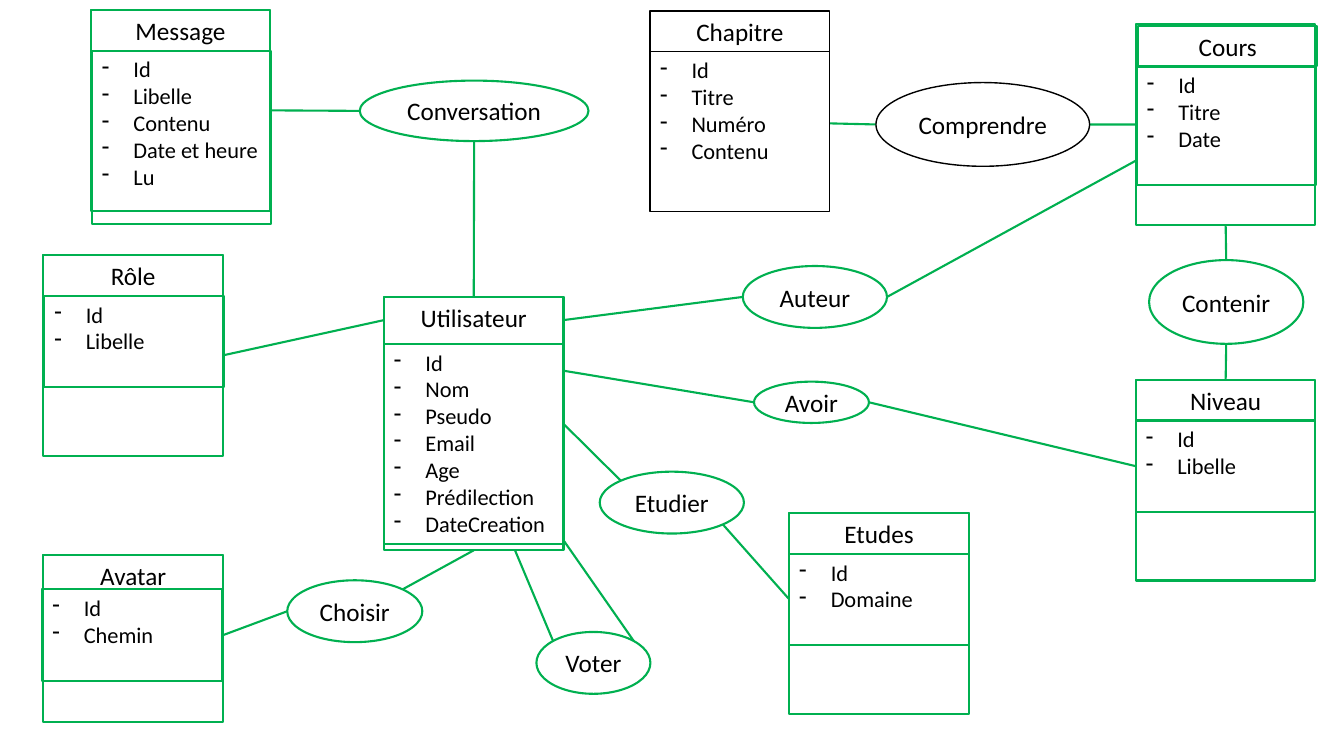
"""Draw the entity and relation diagram of a learning site."""
from dataclasses import dataclass
from typing import Any, NamedTuple

from lxml import etree
from pptx import Presentation
from pptx.dml.color import RGBColor
from pptx.enum.shapes import MSO_CONNECTOR, MSO_SHAPE
from pptx.enum.text import MSO_ANCHOR, PP_ALIGN
from pptx.oxml.ns import qn
from pptx.util import Pt

RECT, OVAL = MSO_SHAPE.RECTANGLE, MSO_SHAPE.OVAL
LINE = MSO_CONNECTOR.STRAIGHT
TOP, MIDDLE = MSO_ANCHOR.TOP, MSO_ANCHOR.MIDDLE
LEFT, CENTER = PP_ALIGN.LEFT, PP_ALIGN.CENTER


@dataclass(frozen=True)
class Theme:
    """Colours, type sizes and text measures."""
    green: RGBColor = RGBColor(0x00, 0xB0, 0x50)
    black: RGBColor = RGBColor(0x00, 0x00, 0x00)
    white: RGBColor = RGBColor(0xFF, 0xFF, 0xFF)
    font: str = "Calibri"
    title: float = 18
    item: float = 16
    row: float = 19.4
    pad: float = 7.2
    indent: float = 22.5


THEME = Theme()


class Pen(NamedTuple):
    """Colour and width of a line."""
    color: RGBColor
    width: float


GREEN, BLACK = Pen(THEME.green, 1.5), Pen(THEME.black, 1)
THIN = Pen(THEME.black, 0.5)


class Frame(NamedTuple):
    """Place and size in points."""
    x: float
    y: float
    w: float
    h: float

    def spot(self, fx: float, fy: float) -> tuple[float, float]:
        """Return the point at the given shares of width and height."""
        return self.x + fx * self.w, self.y + fy * self.h


@dataclass(frozen=True)
class Entity:
    """Table box with a title and a list of fields."""
    name: str
    x: float
    y: float
    items: tuple[str, ...]
    h: float = 143.3
    head: float = 29
    spare: int = 1
    nudge: float = 0
    shift: float = 0
    plain: bool = False

    @property
    def frame(self) -> Frame:
        """Return the outer frame."""
        return Frame(self.x, self.y, 128.2, self.h)


class Bond(NamedTuple):
    """Oval that names a relation."""
    name: str
    frame: Frame
    pen: Pen = GREEN


class Link(NamedTuple):
    """Line between spots on two named frames."""
    start: str
    a: tuple[float, float]
    end: str
    b: tuple[float, float]


WEST, EAST, NORTH, SOUTH = (0, 0.5), (1, 0.5), (0.5, 0), (0.5, 1)
NW, NE, SE = (0.146, 0.146), (0.854, 0.146), (0.854, 0.854)

ENTITIES = (
    Entity("Message", 64.8, 7.2,
           ("Id", "Libelle", "Contenu", "Date et heure", "Lu"), nudge=0.9),
    Entity("Utilisateur", 274.3, 212.4,
           ("Id", "Nom", "Pseudo", "Email", "Age", "Prédilection",
            "DateCreation"), h=180.7, head=33.1, spare=0),
    Entity("Etudes", 563.8, 366.5, ("Id", "Domaine")),
    Entity("Avatar", 31, 396.7, ("Id", "Chemin"),
           h=118.8, head=24.1, nudge=-0.7),
    Entity("Cours", 811.4, 17.3, ("Id", "Titre", "Date"),
           head=30.2, nudge=0.7, shift=1.4),
    Entity("Niveau", 811.4, 271.4, ("Id", "Libelle")),
    Entity("Chapitre", 464.4, 7.9, ("Id", "Titre", "Numéro", "Contenu"),
           plain=True),
    Entity("Rôle", 31, 182.2, ("Id", "Libelle"), nudge=0.7),
)
BONDS = (
    Bond("Conversation", Frame(257, 57.6, 163.4, 43.2)),
    Bond("Comprendre", Frame(625.7, 59, 152.6, 59.8), BLACK),
    Bond("Contenir", Frame(820.8, 185.8, 110.2, 59.8)),
    Bond("Auteur", Frame(530.6, 190, 103, 44.2)),
    Bond("Avoir", Frame(538.6, 272.6, 82.1, 29.5)),
    Bond("Etudier", Frame(428.4, 336.9, 103, 44.2)),
    Bond("Choisir", Frame(205.2, 414.5, 96.5, 44.2)),
    Bond("Voter", Frame(383.2, 451.4, 81.4, 44.2)),
)
LINKS = (
    Link("Message", EAST, "Conversation", WEST),
    Link("Conversation", SOUTH, "Utilisateur", NORTH),
    Link("Rôle", EAST, "Utilisateur", (0, 0.09)),
    Link("Utilisateur", (1, 0.09), "Auteur", WEST),
    Link("Auteur", EAST, "Cours", (0, 0.68)),
    Link("Utilisateur", (1, 0.29), "Avoir", WEST),
    Link("Avoir", EAST, "Niveau", (0, 0.43)),
    Link("Utilisateur", EAST, "Etudier", NW),
    Link("Etudier", SE, "Etudes", (0, 0.43)),
    Link("Utilisateur", SOUTH, "Choisir", NE),
    Link("Choisir", WEST, "Avatar", (1, 0.48)),
    Link("Utilisateur", (0.73, 1), "Voter", NW),
    Link("Utilisateur", (1, 0.96), "Voter", NE),
    Link("Chapitre", (1, 0.56), "Comprendre", WEST),
    Link("Comprendre", EAST, "Cours", WEST),
    Link("Cours", SOUTH, "Contenir", NORTH),
    Link("Contenir", SOUTH, "Niveau", NORTH),
)


def format_all(target: Any, values: dict[str, Any]) -> None:
    """Set each named attribute of the target."""
    for key, value in values.items():
        setattr(target, key, value)


def stroke(line: Any, pen: Pen) -> None:
    """Give a line its colour and width."""
    line.color.rgb = pen.color
    line.width = Pt(pen.width)


def add_box(slide: Any, kind: Any, frame: Frame, pen: Pen | None,
            filled: bool = False) -> Any:
    """Add a preset shape without shadow."""
    shape = slide.shapes.add_shape(kind, *map(Pt, frame))
    shape.shadow.inherit = False
    if filled:
        shape.fill.solid()
        shape.fill.fore_color.rgb = THEME.white
    else:
        shape.fill.background()
    if pen:
        stroke(shape.line, pen)
    else:
        shape.line.fill.background()
    return shape


def add_line(slide: Any, a: tuple[float, float], b: tuple[float, float],
             pen: Pen) -> None:
    """Add a straight connector without shadow."""
    line = slide.shapes.add_connector(LINE, *map(Pt, (*a, *b)))
    stroke(line.line, pen)
    etree.SubElement(line._element.spPr, qn("a:effectLst"))


def write(shape: Any, lines: tuple[str, ...], size: float, anchor: Any,
          dashed: bool = False) -> None:
    """Fill a shape with centred lines or a dashed list."""
    body = shape.text_frame
    format_all(body, {"text": "\n".join(lines), "word_wrap": dashed,
                      "vertical_anchor": anchor})
    for para in body.paragraphs:
        para.alignment = LEFT if dashed else CENTER
        format_all(para.runs[0].font, {"name": THEME.font, "size": Pt(size)})
        para.runs[0].font.color.rgb = THEME.black
        if dashed:
            props = para._p.get_or_add_pPr()
            props.set("marL", str(Pt(THEME.indent)))
            props.set("indent", str(-Pt(THEME.indent)))
            etree.SubElement(props, qn("a:buChar"), char="-")


def add_entity(slide: Any, item: Entity) -> None:
    """Draw a box, its title, its rule and its field list."""
    x, y, w, _ = item.frame
    pen = None if item.plain else GREEN
    add_box(slide, RECT, item.frame, BLACK if item.plain else GREEN, True)
    top = Frame(x + item.shift, y + item.shift, w, item.head - item.shift)
    write(add_box(slide, RECT, top, pen), (item.name,), THEME.title, TOP)
    base = y + item.head
    add_line(slide, (x, base), (x + w, base), THIN if item.plain else GREEN)
    tall = THEME.pad + THEME.row * (len(item.items) + item.spare)
    rows = add_box(slide, RECT, Frame(x + item.nudge, base, w, tall), pen)
    write(rows, item.items, THEME.item, TOP, True)


def main() -> None:
    """Build and save the slide."""
    deck = Presentation()
    format_all(deck, {"slide_width": Pt(960), "slide_height": Pt(540)})
    slide = deck.slides.add_slide(deck.slide_layouts[6])
    frames = {node.name: node.frame for node in (*ENTITIES, *BONDS)}
    for link in LINKS:
        add_line(slide, frames[link.start].spot(*link.a),
                 frames[link.end].spot(*link.b), GREEN)
    for item in ENTITIES:
        add_entity(slide, item)
    for bond in BONDS:
        oval = add_box(slide, OVAL, bond.frame, bond.pen, True)
        write(oval, (bond.name,), THEME.title, MIDDLE)
    deck.save("out.pptx")


main()
